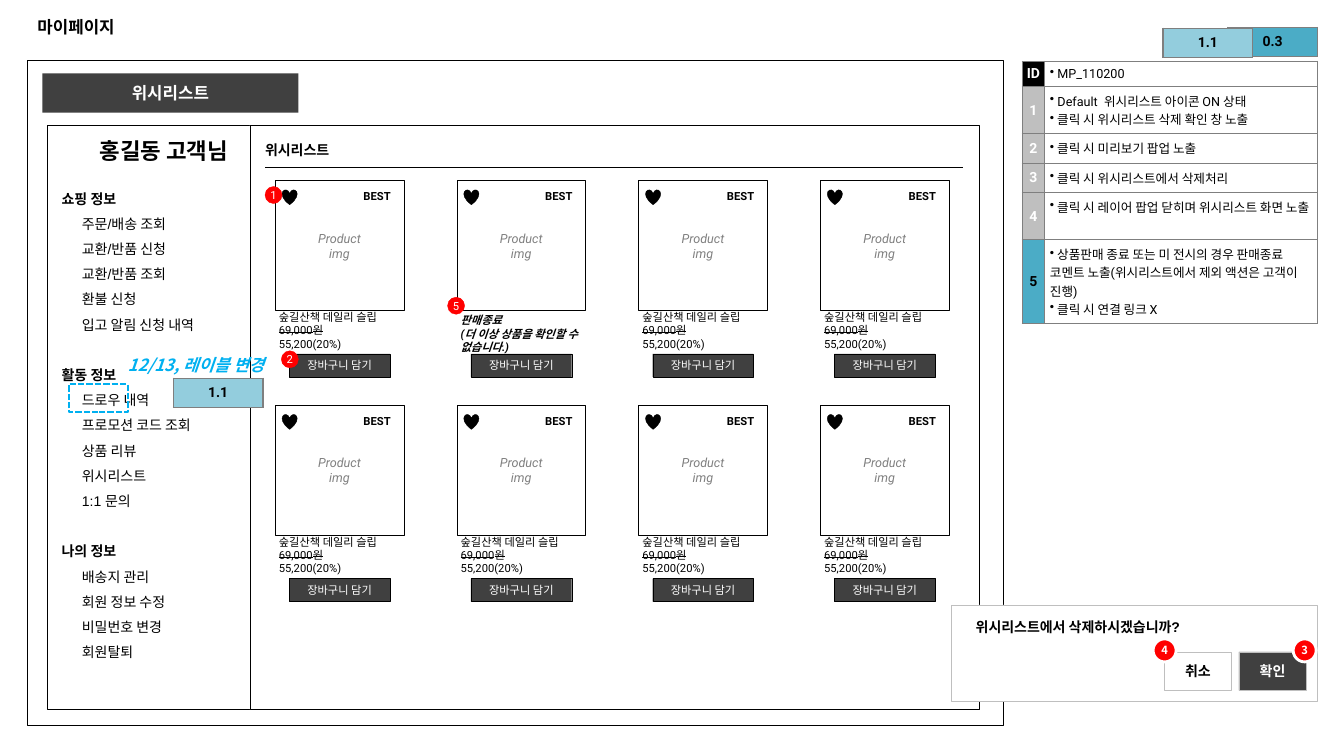
from lxml.etree import SubElement
from pptx import Presentation
from pptx.dml.color import RGBColor
from pptx.enum.dml import MSO_LINE
from pptx.enum.shapes import MSO_CONNECTOR, MSO_SHAPE as Preset
from pptx.enum.text import MSO_ANCHOR as Anchor, MSO_AUTO_SIZE, PP_ALIGN as Align
from pptx.oxml import parse_xml
from pptx.oxml.ns import nsdecls, qn
from pptx.util import Cm, Pt

COLORS = {
    "black": "000000", "white": "FFFFFF", "dark": "404040", "gray": "808080",
    "border": "7F7F7F", "light": "BFBFBF", "red": "FF0000",
    "teal": "4BACC6", "aqua": "93CDDD", "sky": "00B0F0",
}
KOREAN = "Noto Sans CJK KR"
MENU = [
    ("쇼핑 정보", ["주문/배송 조회", "교환/반품 신청", "교환/반품 조회", "환불 신청", "입고 알림 신청 내역"]),
    ("활동 정보", ["드로우 내역", "프로모션 코드 조회", "상품 리뷰", "위시리스트", "1:1 문의"]),
    ("나의 정보", ["배송지 관리", "회원 정보 수정", "비밀번호 변경", "회원탈퇴"]),
]
DESCRIPTIONS = [
    ("ID", "black", "white", 0.63, ["MP_110200"]),
    ("1", "light", "white", 1.19, ["Default  위시리스트 아이콘 ON 상태", "클릭 시 위시리스트 삭제 확인 창 노출"]),
    ("2", "light", "white", 0.74, ["클릭 시 미리보기 팝업 노출"]),
    ("3", "light", "white", 0.74, ["클릭 시 위시리스트에서 삭제처리"]),
    ("4", "light", "white", 1.19, ["클릭 시 레이어 팝업 닫히며 위시리스트 화면 노출"]),
    ("5", "teal", "black", 2.1, [
        "상품판매 종료 또는 미 전시의 경우 판매종료 코멘트 노출(위시리스트에서 제외 액션은 고객이 진행)",
        "클릭 시 연결 링크 X"]),
]


def rgb(name):
    """Return the named colour."""
    return RGBColor.from_string(COLORS[name])


def apply(target, values):
    """Set attributes of an object from a dict of format values."""
    for key, value in values.items():
        setattr(target, key, value)


def margins(left, top=None):
    """Return margin values for a text frame or cell."""
    top = left if top is None else top
    return {"margin_left": Cm(left), "margin_right": Cm(left),
            "margin_top": Cm(top), "margin_bottom": Cm(top)}


def add_span(para, text, size, name="Arial", color="black", strike=False, **font):
    """Add one formatted run to a paragraph."""
    span = para.add_run()
    span.text = text
    apply(span.font, {"size": Pt(size), "name": name, "bold": False, **font})
    span.font.color.rgb = rgb(color)
    props = span.font._element
    SubElement(props, qn("a:ea")).set("typeface", KOREAN)
    if strike:
        props.set("strike", "sngStrike")


def next_para(frame, **values):
    """Return the first empty paragraph of a frame, or a new one."""
    para = frame.paragraphs[0] if not frame.text else frame.add_paragraph()
    apply(para, {"alignment": Align.LEFT, "space_before": Pt(0), **values})
    return para


def write(frame, lines, layout=None, para=None, **font):
    """Write lines of one format into a frame."""
    apply(frame, {"word_wrap": True, "auto_size": MSO_AUTO_SIZE.NONE, **(layout or {})})
    for line in lines:
        add_span(next_para(frame, **(para or {})), line, **font)


def add_text(page, box, lines, **values):
    """Add a text box."""
    shape = page.shapes.add_textbox(*map(Cm, box))
    write(shape.text_frame, lines, **values)
    return shape


def add_shape(page, box, preset=Preset.RECTANGLE, fill=None, line=None, width=0.25, lines=(), inset=None, **font):
    """Add a preset shape with optional centred text."""
    shape = page.shapes.add_shape(preset, *map(Cm, box))
    shape.shadow.inherit = False
    for part, color in ((shape.fill, fill), (shape.line.fill, line)):
        if color:
            part.solid()
            part.fore_color.rgb = rgb(color)
        else:
            part.background()
    if line:
        shape.line.width = Pt(width)
    layout = {"vertical_anchor": Anchor.MIDDLE, **(margins(inset) if inset is not None else {})}
    write(shape.text_frame, lines, layout, {"alignment": Align.CENTER}, **font)
    return shape


def add_badge(page, left, top, number, size=0.43, line="red", width=0.25, **font):
    """Add a red numbered circle."""
    add_shape(page, (left, top, size, size), Preset.OVAL, "red", line, width, [number], 0,
              size=8, color="white", **font)


def add_grid(page, box, widths, heights):
    """Add a plain table with thin gray borders."""
    table = page.shapes.add_table(len(heights), len(widths), *map(Cm, box)).table
    apply(table, {"first_row": False, "horz_banding": False})
    for column, width in zip(table.columns, widths):
        column.width = Cm(width)
    for row, height in zip(table.rows, heights):
        row.height = Cm(height)
    for cell in table.iter_cells():
        cell.fill.background()
        for index, side in enumerate("LRTB"):
            cell._tc.get_or_add_tcPr().insert(index, parse_xml(
                f'<a:ln{side} {nsdecls("a")} w="12700"><a:solidFill>'
                f'<a:srgbClr val="{COLORS["border"]}"/></a:solidFill></a:ln{side}>'))
    return table


def fill_label(cell, text, fill, color="black"):
    """Write a bold centred label into a filled cell."""
    cell.fill.solid()
    cell.fill.fore_color.rgb = rgb(fill)
    apply(cell, {"vertical_anchor": Anchor.MIDDLE, **margins(0)})
    add_span(next_para(cell.text_frame, alignment=Align.CENTER), text, 10, "Roboto", color, bold=True)


def add_tag(page, left, top, text, fill):
    """Add a version tag."""
    table = add_grid(page, (left, top, 2.26, 0.74), [2.26], [0.74])
    fill_label(table.cell(0, 0), text, fill)


def add_descriptions(page, box):
    """Add the table that explains the numbered parts."""
    heights = [row[3] for row in DESCRIPTIONS]
    table = add_grid(page, (*box, sum(heights)), [0.57, box[2] - 0.57], heights)
    for index, (label, fill, color, _, notes) in enumerate(DESCRIPTIONS):
        fill_label(table.cell(index, 0), label, fill, color)
        cell = table.cell(index, 1)
        apply(cell, margins(0.13))
        for note in notes:
            para = next_para(cell.text_frame)
            SubElement(para._p.get_or_add_pPr(), qn("a:buChar")).set("char", "•")
            add_span(para, " " + note, 9, "Roboto")


def add_sidebar(page, box, body):
    """Add the customer panel with its menu in the body placeholder."""
    left, top, _, _ = box
    panel = add_shape(page, box, fill="white", line="black")
    panel._element.addnext(body._element)
    apply(body, dict(zip(("left", "top", "width", "height"),
                         map(Cm, (left + 0.11, top + 1.3, 5, 12.01)))))
    frame = body.text_frame
    apply(frame, {"word_wrap": True, "auto_size": MSO_AUTO_SIZE.NONE, "vertical_anchor": Anchor.TOP})
    for group, (heading, items) in enumerate(MENU):
        for index, text in enumerate([heading, *items]):
            gap = Pt(18) if group and not index else Pt(0)
            para = next_para(frame, line_spacing=Pt(18), space_before=gap)
            props = para._p.get_or_add_pPr()
            props.set("marL", str(Cm(0.51 if index else 0)))
            props.set("indent", "0")
            SubElement(props, qn("a:buNone"))
            add_span(para, text, 10, bold=not index)
    add_text(page, (left + 1.07, top + 0.23, 4.37, 0.84), ["홍길동 고객님"],
             para={"line_spacing": Pt(18)}, size=16, bold=True)


def add_card(page, left, top, sold_out):
    """Add one product card with its price and cart button."""
    add_shape(page, (left, top, 3.25, 3.28), line="black", lines=["Product", "img"], inset=0.1,
              size=9, name="Roboto", color="gray", italic=True)
    add_text(page, (left + 1.07, top + 0.2, 2.18, 0.38), ["BEST"],
             layout={"vertical_anchor": Anchor.MIDDLE, "margin_right": Cm(0.33)},
             para={"alignment": Align.RIGHT}, size=8, name="Roboto", bold=True)
    add_shape(page, (left + 0.36, top + 4.37, 2.54, 0.58), fill="dark", line="black",
              lines=["장바구니 담기"], size=8, name=KOREAN, color="white")
    add_shape(page, (left + 0.18, top + 0.23, 0.38, 0.38), Preset.HEART, "black", "black")
    font = {"size": 8, "name": "Roboto"}
    if sold_out:
        add_text(page, (left, top + 3.25, 3.23, 1.22), ["판매종료", "(더 이상 상품을 확인할 수 없습니다.)"],
                 layout=margins(0.1), bold=True, italic=True, **font)
        return
    info = add_text(page, (left, top + 3.33, 3.02, 0.89), ["숲길산책 데일리 슬립"],
                    layout={"vertical_anchor": Anchor.MIDDLE, **margins(0.1)}, **font)
    add_span(next_para(info.text_frame), "69,000원", strike=True, **font)
    add_span(next_para(info.text_frame), "55,200(20%)", **font)


def add_wishlist(page, box):
    """Add the wish list panel with its grid of cards."""
    left, top, _, _ = box
    add_shape(page, box, fill="white", line="black")
    add_text(page, (left + 0.13, top + 0.1, 5, 0.84), ["위시리스트"],
             layout={"vertical_anchor": Anchor.MIDDLE}, para={"line_spacing": Pt(18)}, size=10, bold=True)
    divider = page.shapes.add_connector(
        MSO_CONNECTOR.STRAIGHT, *map(Cm, (left + 0.38, top + 1.07, left + 17.98, top + 1.07)))
    divider.line.color.rgb = rgb("black")
    divider.line.width = Pt(0.75)
    SubElement(divider._element.spPr, qn("a:effectLst"))
    for row in range(2):
        for column in range(4):
            add_card(page, left + 0.63 + 4.58 * column, top + 1.4 + 5.66 * row, (row, column) == (0, 1))
    for number, across, down in (("1", 0.38, 1.55), ("2", 0.79, 5.69), ("5", 4.98, 4.34)):
        add_badge(page, left + across, top + down, number, name="Roboto")


def add_dialog(page, box):
    """Add the delete confirmation dialog."""
    left, top, _, _ = box
    add_shape(page, box, fill="white", line="light")
    add_text(page, (left + 0.36, top + 0.23, 6.88, 0.69), ["위시리스트에서 삭제하시겠습니까?"], size=10, bold=True)
    buttons = (("확인", 7.24, "dark", "white", "3", 1.37), ("취소", 5.36, "white", "black", "4", -0.28))
    for label, across, fill, color, number, shift in buttons:
        add_shape(page, (left + across, top + 1.19, 1.7, 0.97), fill=fill, line="light",
                  lines=[label], size=10, name=KOREAN, color=color, bold=True)
        add_badge(page, left + across + shift, top + 0.86, number, 0.58, "white", 2, name=KOREAN, bold=True)


def add_change_note(page, left, top):
    """Add the note on the changed menu label."""
    add_text(page, (left + 1.24, top, 4.24, 0.76), ["12/13, 레이블 변경"], layout={"word_wrap": False},
             size=12, name=KOREAN, color="sky", bold=True, italic=True)
    marker = add_shape(page, (left, top + 0.87, 1.5, 0.71), line="sky", width=1.5)
    marker.line.dash_style = MSO_LINE.SQUARE_DOT
    add_tag(page, left + 2.64, top + 0.72, "1.1", "aqua")


def main():
    """Build the wish list page and save it."""
    deck = Presentation()
    apply(deck, {"slide_width": Cm(33.87), "slide_height": Cm(19.05)})
    page = deck.slides.add_slide(deck.slide_layouts[1])
    title, body = page.placeholders
    apply(title, dict(zip(("left", "top", "width", "height"), map(Cm, (0.69, 0.18, 32.49, 0.99)))))
    write(title.text_frame, ["마이페이지"], {"vertical_anchor": Anchor.MIDDLE}, size=12, bold=True)
    add_shape(page, (0.69, 1.52, 24.61, 16.76), line="black", width=0.75)
    add_shape(page, (1.07, 1.85, 6.45, 0.99), fill="dark", lines=["위시리스트"], size=12, color="white", bold=True)
    add_descriptions(page, (25.76, 1.55, 7.44))
    add_sidebar(page, (1.19, 3.15, 5.13, 14.73), body)
    add_wishlist(page, (6.3, 3.15, 18.39, 14.73))
    add_dialog(page, (23.98, 15.24, 9.22, 2.44))
    add_tag(page, 30.94, 0.69, "0.3", "teal")
    add_tag(page, 29.31, 0.71, "1.1", "aqua")
    add_change_note(page, 1.73, 8.81)
    deck.save("out.pptx")


if __name__ == "__main__":
    main()
